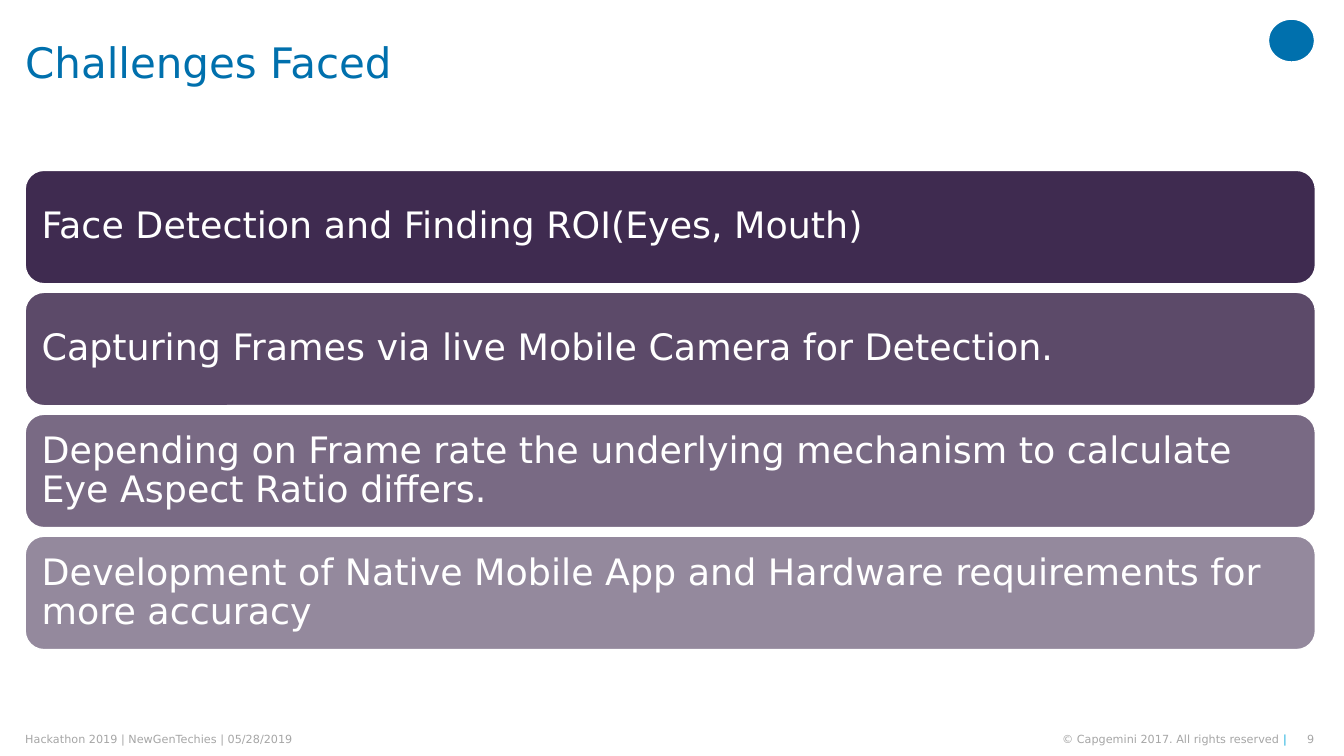
from dataclasses import dataclass

import pptx
import pptx.dml.color
import pptx.enum.shapes
import pptx.enum.text
import pptx.oxml
import pptx.oxml.ns
import pptx.util

FONT = "DejaVu Sans"
COLORS = {
    "blue": "0070AD",
    "cyan": "12ABDB",
    "purple": "2B143D",
    "gray": "A6A6A6",
    "white": "FFFFFF",
}
ALIGN = pptx.enum.text.PP_ALIGN
SHAPES = pptx.enum.shapes.MSO_SHAPE

# Square grid: 160 columns by 90 rows
COLUMNS, ROWS = 160, 90
MARGIN = 3
CARD_TOP, CARD_HEIGHT, CARD_PITCH = 20.28, 13.5, 14.52
FOOTER_TOP, FOOTER_HEIGHT = 87.24, 1.56
OPACITY_FIRST, OPACITY_LAST = 90, 50

CHALLENGES = [
    "Face Detection and Finding ROI(Eyes, Mouth)",
    "Capturing Frames via live Mobile Camera for Detection.",
    "Depending on Frame rate the underlying mechanism to calculate Eye Aspect Ratio differs.",
    "Development of Native Mobile App and Hardware requirements for more accuracy",
]


@dataclass(frozen=True)
class Area:
    column: float
    row: float
    columns: float
    rows: float


@dataclass(frozen=True)
class Footer:
    column: float
    columns: float
    spans: tuple[tuple[str, str], ...]
    align: pptx.enum.text.PP_ALIGN = ALIGN.RIGHT


FOOTERS = [
    Footer(MARGIN, 62, (("Hackathon 2019 | NewGenTechies | 05/28/2019", "gray"),), ALIGN.LEFT),
    Footer(118.3, 34.9, (("© Capgemini 2017. All rights reserved ", "gray"), ("|", "cyan"))),
    Footer(154.2, 2.28, (("9", "gray"),)),
]

# Deck and page
deck = pptx.Presentation()
deck.slide_width = pptx.util.Inches(13.33)
deck.slide_height = pptx.util.Inches(7.5)
page = deck.slides.add_slide(deck.slide_layouts[5])


def across(columns: float) -> int:
    return round(deck.slide_width * columns / COLUMNS)


def down(rows: float) -> int:
    return round(deck.slide_height * rows / ROWS)


def bounds(area: Area) -> tuple[int, int, int, int]:
    return across(area.column), down(area.row), across(area.columns), down(area.rows)


def rgb(color: str) -> pptx.dml.color.RGBColor:
    return pptx.dml.color.RGBColor.from_string(COLORS[color])


def write(box, *spans: tuple[str, str], size: float, align=ALIGN.LEFT,
          inset: float = 0, line_spacing: float = 1) -> None:
    """Fill a box with one paragraph of (text, color) spans."""
    frame = box.text_frame
    frame.word_wrap = True
    frame.auto_size = pptx.enum.text.MSO_AUTO_SIZE.NONE
    frame.vertical_anchor = pptx.enum.text.MSO_ANCHOR.MIDDLE
    frame.margin_left = frame.margin_right = across(inset)
    frame.margin_top = frame.margin_bottom = down(inset)
    para = frame.paragraphs[0]
    para.alignment = align
    para.line_spacing = line_spacing
    for text, color in spans:
        span = para.add_run()
        span.text = text
        span.font.name = FONT
        span.font.size = pptx.util.Pt(size)
        span.font.color.rgb = rgb(color)


def add_filled(kind: pptx.enum.shapes.MSO_SHAPE, area: Area, color: str, opacity: float = 100):
    shape = page.shapes.add_shape(kind, *bounds(area))
    shape.shadow.inherit = False
    shape.fill.solid()
    shape.fill.fore_color.rgb = rgb(color)
    shape.line.color.rgb = rgb("white")
    shape.line.width = pptx.util.Pt(1)
    if opacity < 100:
        fill_color = shape.fill._xPr.find(".//" + pptx.oxml.ns.qn("a:srgbClr"))
        alpha = pptx.oxml.parse_xml(
            f'<a:alpha {pptx.oxml.ns.nsdecls("a")} val="{round(opacity * 1000)}"/>')
        fill_color.append(alpha)
    return shape


# Title
title = page.shapes.title
title.left, title.top, title.width, title.height = bounds(Area(MARGIN, 0.5, 146, 14.5))
write(title, ("Challenges Faced", "blue"), size=30, line_spacing=0.9)

# Corner emblem
add_filled(SHAPES.OVAL, Area(151, 2.28, 5.5, 5.1), "blue")

# Challenge cards, fading from top to bottom
fade = (OPACITY_FIRST - OPACITY_LAST) / (len(CHALLENGES) - 1)
for index, challenge in enumerate(CHALLENGES):
    card_area = Area(MARGIN, CARD_TOP + index * CARD_PITCH, 153.6, CARD_HEIGHT)
    card = add_filled(SHAPES.ROUNDED_RECTANGLE, card_area, "purple", OPACITY_FIRST - index * fade)
    write(card, (challenge, "white"), size=26, inset=1.3, line_spacing=0.9)

# Footer line
for footer in FOOTERS:
    footer_area = Area(footer.column, FOOTER_TOP, footer.columns, FOOTER_HEIGHT)
    box = page.shapes.add_textbox(*bounds(footer_area))
    write(box, *footer.spans, size=8, align=footer.align)

deck.save("out.pptx")
